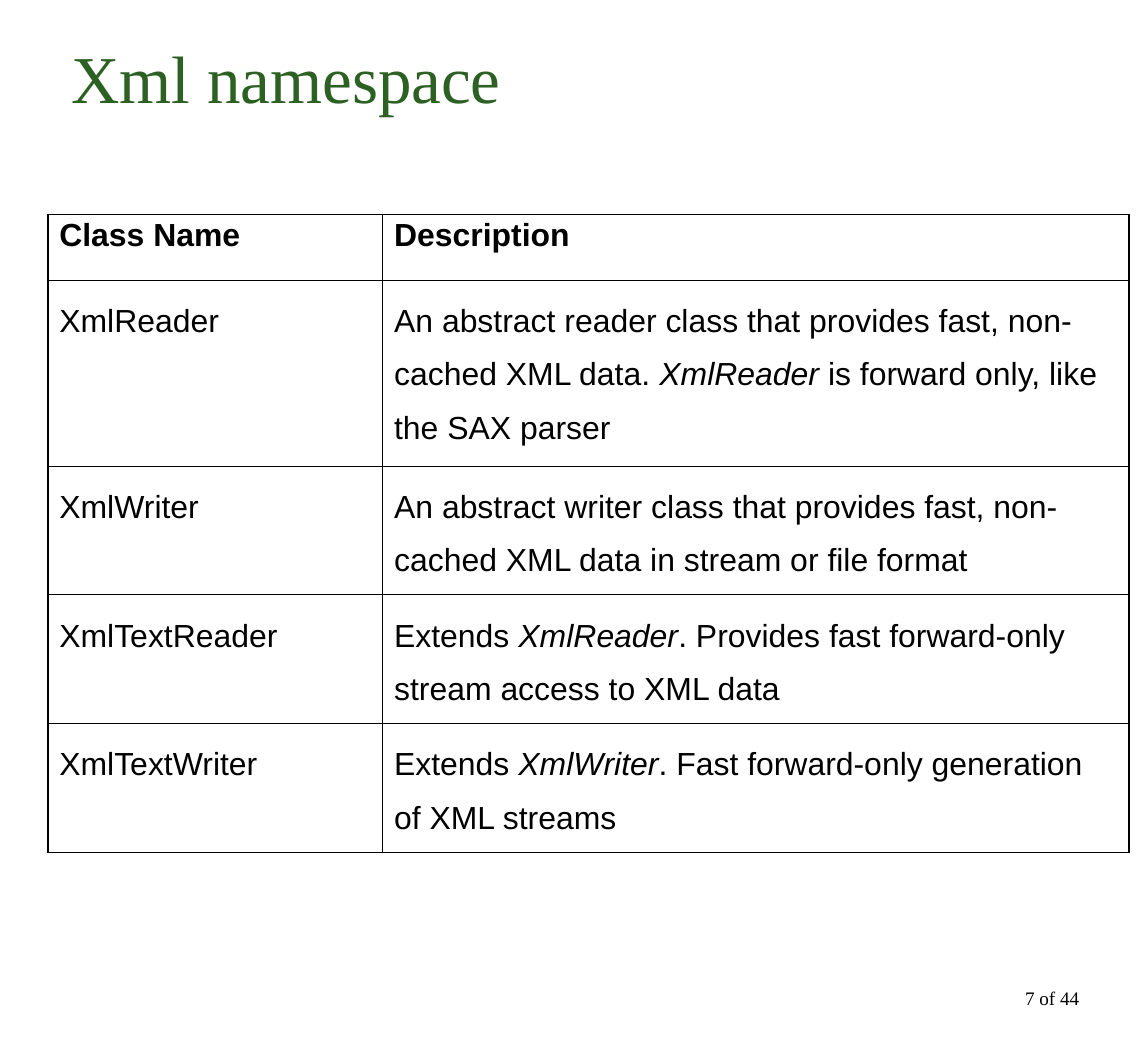
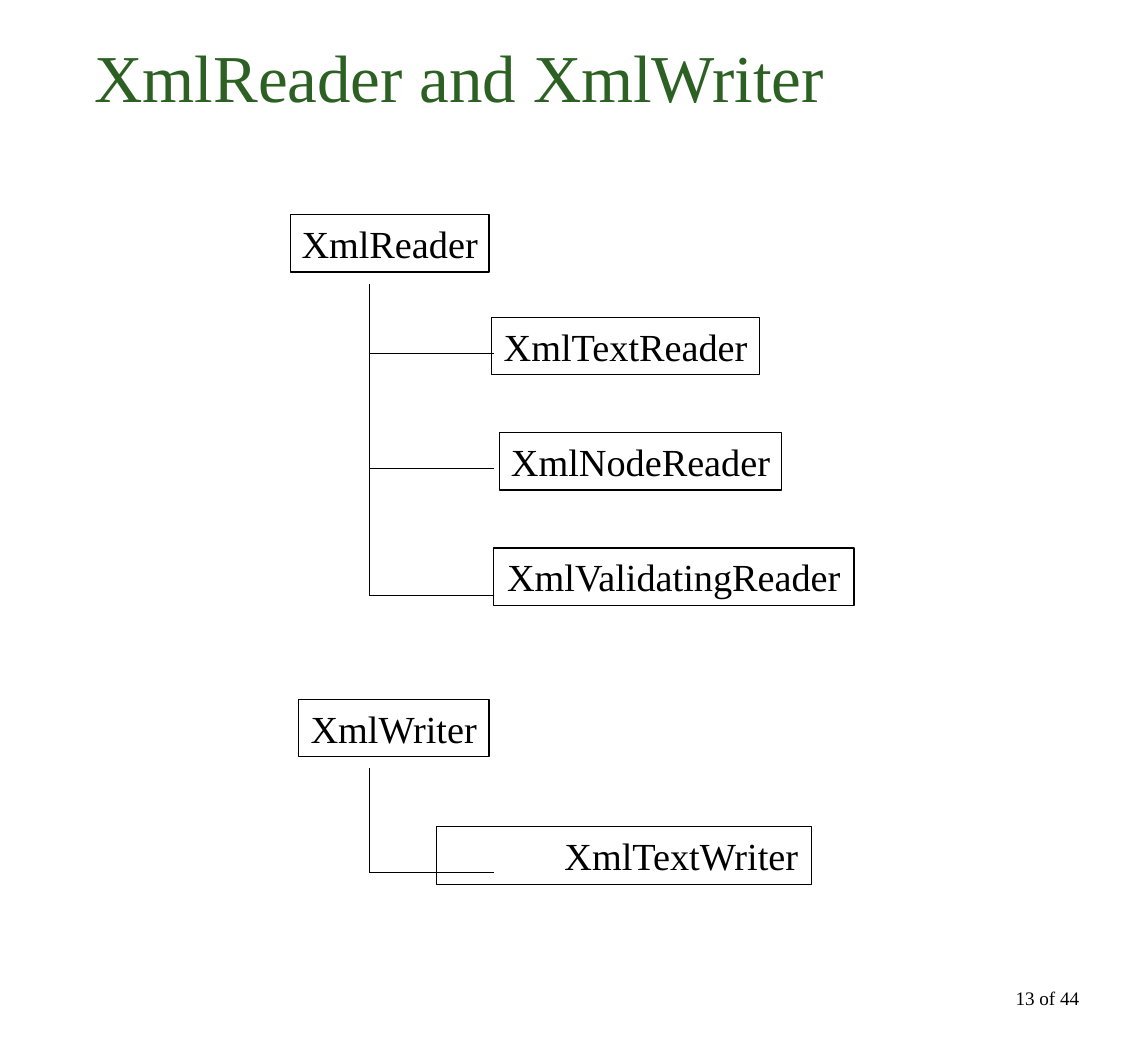
from lxml.etree import SubElement
from pptx import Presentation
from pptx.dml.color import RGBColor
from pptx.enum.shapes import MSO_CONNECTOR, MSO_SHAPE
from pptx.enum.text import MSO_ANCHOR, PP_ALIGN
from pptx.oxml.ns import qn
from pptx.util import Pt

GREEN, BLACK = "2C6123", "000000"
SERIF, SANS = "Times New Roman", "Arial"

# Text between asterisks is italic.
CLASS_ROWS = [
    ("Class Name", "Description"),
    ("XmlReader", "An abstract reader class that provides fast, non-cached XML data. "
                  "*XmlReader* is forward only, like the SAX parser"),
    ("XmlWriter", "An abstract writer class that provides fast, non-cached XML data "
                  "in stream or file format"),
    ("XmlTextReader", "Extends *XmlReader*. Provides fast forward-only stream access "
                      "to XML data"),
    ("XmlTextWriter", "Extends *XmlWriter*. Fast forward-only generation of XML streams"),
]
TABLE_LEFT, TABLE_TOP = 30, 134.64
COL_WIDTHS = [210, 468]
ROW_HEIGHTS = [41.04, 116.64, 80.8, 80.8, 80.8]
OUTER, INNER = 1.08, 0.45

# A box is name, left, top, width, alignment; a child also has the y of its branch.
CENTER, RIGHT = PP_ALIGN.CENTER, PP_ALIGN.RIGHT
TREES = [
    (("XmlReader", 182.16, 134.64, 124.56, CENTER), [
        (("XmlTextReader", 308.16, 199, 168.48, CENTER), 221.76),
        (("XmlNodeReader", 313.2, 271.44, 177.12, CENTER), 293.76),
        (("XmlValidatingReader", 309.6, 343.7, 226.08, CENTER), 373.68),
    ]),
    (("XmlWriter", 187.2, 438.7, 119.52, CENTER), [
        (("XmlTextWriter", 273.6, 518.6, 235.44, RIGHT), 547.4),
    ]),
]
BOX_HEIGHT, TRUNK_GAP = 36, 7.2
BOX_INSETS = {CENTER: 3.6, RIGHT: 8.4}
TRUNK_X, BRANCH_END = 232, 310


def rgb(value):
    return RGBColor.from_string(value)


def style(p, font, size, color=BLACK, align=PP_ALIGN.LEFT):
    p.alignment = align
    p.font.name, p.font.size = font, Pt(size)
    p.font.color.rgb = rgb(color)


def add_text(s, text, box, anchor, size, color=BLACK, align=PP_ALIGN.LEFT):
    tf = s.shapes.add_textbox(*map(Pt, box)).text_frame
    tf.word_wrap = True
    tf.vertical_anchor = anchor
    p = tf.paragraphs[0]
    p.text = text
    style(p, SERIF, size, color, align)


def add_slide(prs, title, title_box, page):
    """Add a blank slide with the shared title and page number."""
    s = prs.slides.add_slide(prs.slide_layouts[6])
    add_text(s, title, title_box, MSO_ANCHOR.MIDDLE, 42, GREEN)
    add_text(s, f"{page} of 44", (516.24, 593.6, 167.76, 43.2),
             MSO_ANCHOR.BOTTOM, 12, align=RIGHT)
    return s


def set_borders(cell, widths):
    """Draw the left, right, top and bottom borders."""
    tcPr = cell._tc.get_or_add_tcPr()
    for i, (side, width) in enumerate(zip("LRTB", widths)):
        ln = SubElement(tcPr, qn(f"a:ln{side}"), w=str(Pt(width)))
        SubElement(SubElement(ln, qn("a:solidFill")), qn("a:srgbClr"), val=BLACK)
        tcPr.insert(i, ln)


def add_class_table(s):
    n_rows, n_cols = len(ROW_HEIGHTS), len(COL_WIDTHS)
    frame = s.shapes.add_table(n_rows, n_cols, Pt(TABLE_LEFT), Pt(TABLE_TOP),
                               Pt(sum(COL_WIDTHS)), Pt(sum(ROW_HEIGHTS)))
    table = frame.table
    table.first_row = table.horz_banding = False
    for col, width in zip(table.columns, COL_WIDTHS):
        col.width = Pt(width)
    for row, height in zip(table.rows, ROW_HEIGHTS):
        row.height = Pt(height)
    for i, texts in enumerate(CLASS_ROWS):
        for j, text in enumerate(texts):
            cell = table.cell(i, j)
            cell.fill.background()
            edges = (j == 0, j == n_cols - 1, i == 0, i == n_rows - 1)
            set_borders(cell, [OUTER if edge else INNER for edge in edges])
            p = cell.text_frame.paragraphs[0]
            p.line_spacing = 0.9 if i == 0 else 1.5
            style(p, SANS, 20)
            p.font.bold = i == 0
            for k, part in enumerate(text.split("*")):
                r = p.add_run()
                r.text = part
                if k % 2:
                    r.font.italic = True


def add_class_box(s, name, left, top, width, align):
    sp = s.shapes.add_shape(MSO_SHAPE.RECTANGLE, Pt(left), Pt(top), Pt(width), Pt(BOX_HEIGHT))
    sp.shadow.inherit = False
    sp.fill.background()
    sp.line.color.rgb = rgb(BLACK)
    sp.line.width = Pt(0.75)
    tf = sp.text_frame
    tf.word_wrap = True
    tf.margin_left = tf.margin_right = Pt(BOX_INSETS[align])
    tf.vertical_anchor = MSO_ANCHOR.MIDDLE
    p = tf.paragraphs[0]
    p.text = name
    style(p, SERIF, 24, align=align)


def add_line(s, x1, y1, x2, y2):
    line = s.shapes.add_connector(MSO_CONNECTOR.STRAIGHT, Pt(x1), Pt(y1), Pt(x2), Pt(y2))
    line.line.color.rgb = rgb(BLACK)
    line.line.width = Pt(0.75)
    SubElement(line._element.spPr, qn("a:effectLst"))


def add_tree(s, root, children):
    add_class_box(s, *root)
    trunk_top = root[2] + BOX_HEIGHT + TRUNK_GAP
    add_line(s, TRUNK_X, trunk_top, TRUNK_X, children[-1][1])
    for child, y in children:
        add_line(s, TRUNK_X, y, BRANCH_END, y)
        add_class_box(s, *child)


def main():
    prs = Presentation()
    prs.slide_width, prs.slide_height = Pt(720), Pt(652.32)
    s = add_slide(prs, "Xml namespace", (37.8, 25.2, 604.8, 45.36), 7)
    add_class_table(s)
    s = add_slide(prs, "XmlReader and XmlWriter", (52.2, 24.8, 529.92, 45.36), 13)
    for root, children in TREES:
        add_tree(s, root, children)
    prs.save("out.pptx")


if __name__ == "__main__":
    main()
